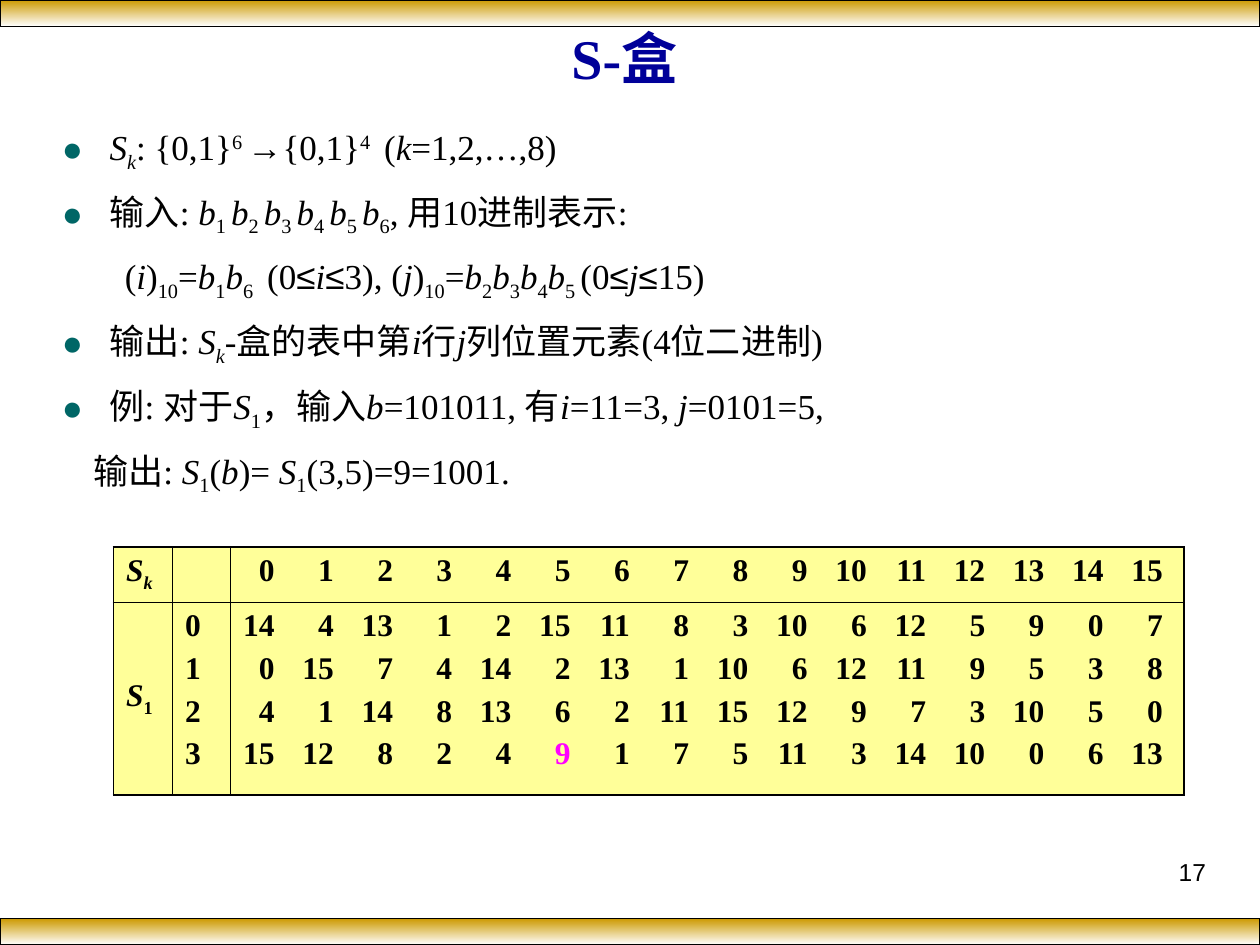
"""Build the S-box slide: definition, worked example and the S1 table."""
from itertools import product
from lxml import etree
from pptx import Presentation, util as u
from pptx.dml.color import RGBColor
from pptx.enum import shapes, text
from pptx.oxml import ns

THEME = {
    "serif": "Times New Roman", "sans": "Arial",
    "ink": "000000", "title": "000099", "bullet": "006666", "mark": "FF00FF",
    "cell": "FFFF99", "gold": "CC9900", "paper": "FFFFFF",
    "title_pt": 32, "body_pt": 20, "table_pt": 18, "page_pt": 14,
}


def bits(*digits):
    return [run for d in digits for run in (("b", "i"), (d, "_"))]


TITLE, PAGE = "S-盒", "17"
BULLET, FORMULA, PLAIN = (0, 0.38, -0.38, True), (1, 0.81, -0.31, False), (0, 0.25, 0, False)
BODY = [
    (BULLET, [("S", "i"), ("k", "i_"), (": {0,1}", ""), ("6 ", "^"), ("→", "a"), ("{0,1}", ""),
              ("4 ", "^"), (" (", ""), ("k", "i"), ("=1,2,…,8)", "")]),
    (BULLET, [("输入: ", ""), *bits("1 ", "2 ", "3 ", "4 ", "5 ", "6"), (", 用10进制表示:", "")]),
    (FORMULA, [("(", ""), ("i", "i"), (")", ""), ("10", "_"), ("=", ""), *bits("1", "6 "),
               (" (0", ""), ("≤", "a"), ("i", "i"), ("≤", "a"), ("3), (", ""), ("j", "i"),
               (")", ""), ("10", "_"), ("=", ""), *bits("2", "3", "4", "5 "),
               ("(0", ""), ("≤", "a"), ("j", "i"), ("≤", "a"), ("15)", "")]),
    (BULLET, [("输出: ", ""), ("S", "i"), ("k", "i_"), ("-盒的表中第", ""), ("i", "i"), ("行", ""),
              ("j", "i"), ("列位置元素(4位二进制)", "")]),
    (BULLET, [("例: 对于", ""), ("S", "i"), ("1", "_"), ("，输入", ""), ("b", "i"),
              ("=101011, 有", ""), ("i", "i"), ("=11=3, ", ""), ("j", "i"), ("=0101=5,", "")]),
    (PLAIN, [("输出: ", ""), ("S", "i"), ("1", "_"), ("(", ""), ("b", "i"), (")= ", ""),
             ("S", "i"), ("1", "_"), ("(3,5)=9=1001.", "")]),
]
S1 = [
    [14, 4, 13, 1, 2, 15, 11, 8, 3, 10, 6, 12, 5, 9, 0, 7],
    [0, 15, 7, 4, 14, 2, 13, 1, 10, 6, 12, 11, 9, 5, 3, 8],
    [4, 1, 14, 8, 13, 6, 2, 11, 15, 12, 9, 7, 3, 10, 5, 0],
    [15, 12, 8, 2, 4, 9, 1, 7, 5, 11, 3, 14, 10, 0, 6, 13],
]
RESULT = (3, 5)
COLS, ROWS = [0.47, 0.46, 7.57], [0.44, 1.53]
FIRST_STOP, STOP_GAP = 0.25, 0.47
THIN, THICK = 0.45, 1.08


def rgb(name):
    return RGBColor.from_string(THEME[name])


def box(x, y, w, h):
    return [u.Inches(v) for v in (x, y, w, h)]


def add(parent, tag, **attrs):
    el = etree.SubElement(parent, ns.qn(tag))
    for key, value in attrs.items():
        el.set(key, str(value))
    return el


def add_run(p, words, size, style="", color="ink"):
    r = p.add_run()
    r.text = words
    f = r.font
    f.name = THEME["sans" if "a" in style else "serif"]
    f.size, f.bold, f.italic = u.Pt(THEME[size]), "b" in style, "i" in style
    f.color.rgb = rgb(color)
    for mark, base in (("_", -25000), ("^", 30000)):
        if mark in style:
            r._r.get_or_add_rPr().set("baseline", str(base))


def paragraphs(tf, count, before):
    for n in range(count):
        p = tf.paragraphs[0] if n == 0 else tf.add_paragraph()
        p.space_before = u.Pt(before if n else 0)
        yield p


def add_band(s, top):
    sp = s.shapes.add_shape(shapes.MSO_SHAPE.RECTANGLE, *box(0, top, 10, 0.21))
    sp.shadow.inherit = False
    sp.fill.gradient()
    sp.fill.gradient_angle = 270
    for stop, name in zip(sp.fill.gradient_stops, ("gold", "paper")):
        stop.color.rgb = rgb(name)
    sp.line.color.rgb, sp.line.width = rgb("ink"), u.Pt(0.75)


def fill_body(tf):
    tf.word_wrap, tf.auto_size = True, text.MSO_AUTO_SIZE.NONE
    for p, ((level, margin, indent, bullet), runs) in zip(paragraphs(tf, len(BODY), 5), BODY):
        p.level, p.line_spacing = level, u.Pt(32)
        pPr = p._p.get_or_add_pPr()
        pPr.set("marL", str(u.Inches(margin)))
        pPr.set("indent", str(u.Inches(indent)))
        if bullet:
            add(add(pPr, "a:buClr"), "a:srgbClr", val=THEME["bullet"])
            add(pPr, "a:buChar", char="●")
        else:
            add(pPr, "a:buNone")
        for words, style in runs:
            add_run(p, words, "body_pt", style)


def add_number_rows(cell, rows, marked=None):
    for i, (p, row) in enumerate(zip(paragraphs(cell.text_frame, len(rows), 4.5), rows)):
        stops = add(p._p.get_or_add_pPr(), "a:tabLst")
        for j in range(len(row)):
            add(stops, "a:tab", pos=u.Inches(FIRST_STOP + j * STOP_GAP), algn="r")
        for j, value in enumerate(row):
            add_run(p, f"\t{value}", "table_pt", "b", "mark" if (i, j) == marked else "ink")


def add_label(cell, index, style):
    p = cell.text_frame.paragraphs[0]
    add_run(p, "S", "table_pt", "bi")
    add_run(p, index, "table_pt", style)


def style_cell(cell, row, col):
    cell.fill.solid()
    cell.fill.fore_color.rgb = rgb("cell")
    outer = {"L": col == 0, "R": col == len(COLS) - 1, "T": row == 0, "B": row == len(ROWS) - 1}
    tcPr = cell._tc.get_or_add_tcPr()
    for n, (side, thick) in enumerate(outer.items()):
        ln = add(tcPr, f"a:ln{side}", w=u.Pt(THICK if thick else THIN))
        add(add(ln, "a:solidFill"), "a:srgbClr", val=THEME["ink"])
        tcPr.insert(n, ln)


def add_s_table(s):
    frame = s.shapes.add_table(len(ROWS), len(COLS), *box(0.9, 4.34, sum(COLS), sum(ROWS)))
    table = frame.table
    for col, width in zip(table.columns, COLS):
        col.width = u.Inches(width)
    for row, height in zip(table.rows, ROWS):
        row.height = u.Inches(height)
    for i, j in product(range(len(ROWS)), range(len(COLS))):
        style_cell(table.cell(i, j), i, j)
    add_label(table.cell(0, 0), "k", "bi_")
    add_label(table.cell(1, 0), "1", "b_")
    table.cell(1, 0).vertical_anchor = text.MSO_ANCHOR.MIDDLE
    add_number_rows(table.cell(0, 2), [range(len(S1[0]))])
    add_number_rows(table.cell(1, 2), S1, RESULT)
    for i, p in enumerate(paragraphs(table.cell(1, 1).text_frame, len(S1), 4.5)):
        add_run(p, str(i), "table_pt", "b")


def main():
    prs = Presentation()
    prs.slide_width, prs.slide_height = u.Inches(10), u.Inches(7.5)
    s = prs.slides.add_slide(prs.slide_layouts[1])
    title, body = s.placeholders
    for top in (0, 7.29):
        add_band(s, top)

    title.left, title.top, title.width, title.height = box(0.59, 0.25, 8.73, 0.4)
    tf = title.text_frame
    tf.vertical_anchor, tf.auto_size = text.MSO_ANCHOR.MIDDLE, text.MSO_AUTO_SIZE.NONE
    tf.paragraphs[0].alignment = text.PP_ALIGN.CENTER
    add_run(tf.paragraphs[0], TITLE, "title_pt", "b", "title")

    body.left, body.top, body.width, body.height = box(0.39, 0.88, 8.07, 3.11)
    fill_body(body.text_frame)
    add_s_table(s)

    tf = s.shapes.add_textbox(*box(7.17, 6.75, 2.5, 0.52)).text_frame
    tf.word_wrap = True
    tf.paragraphs[0].alignment = text.PP_ALIGN.RIGHT
    add_run(tf.paragraphs[0], PAGE, "page_pt", "a")
    prs.save("out.pptx")


if __name__ == "__main__":
    main()
